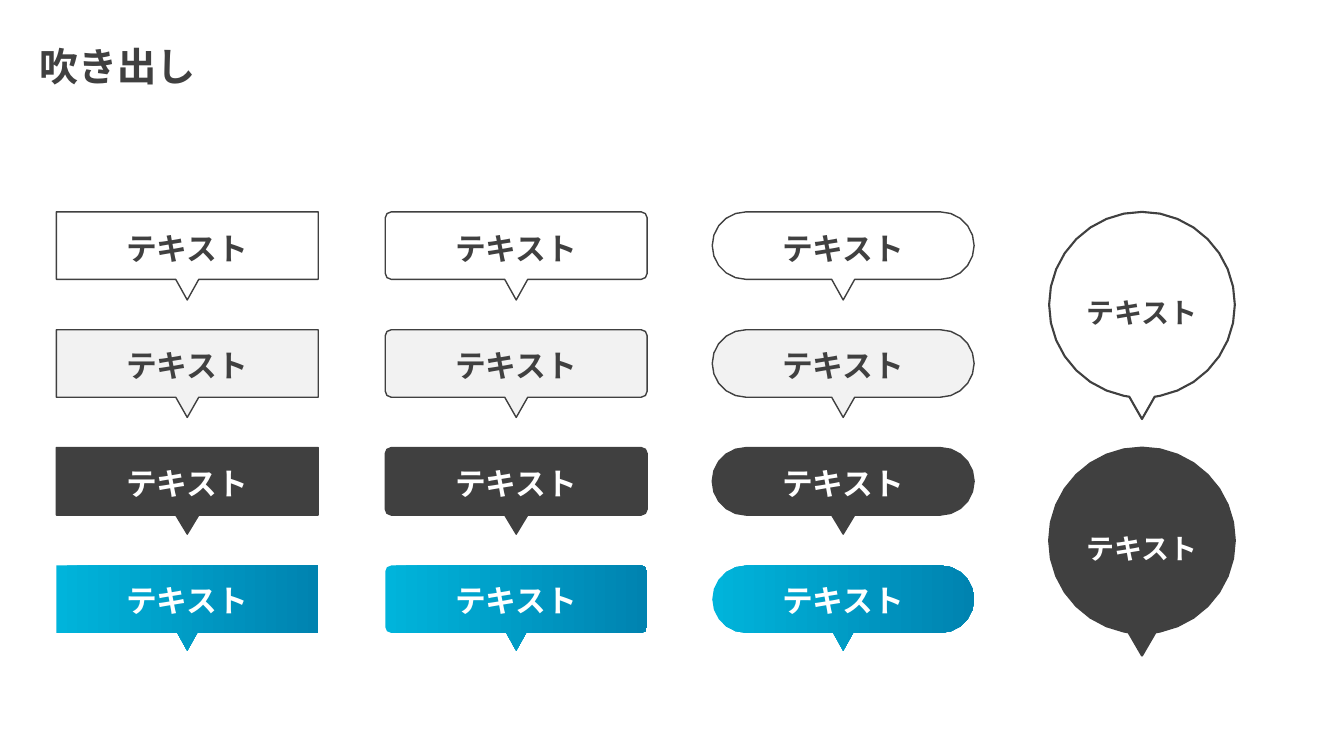
import math
from lxml import etree
from pptx import Presentation
from pptx import util as u
from pptx.dml import color
from pptx.enum import text
from pptx.oxml import ns

FONT = "Noto Sans CJK JP"
TITLE = {"words": "吹き出し", "left": 0.74, "top": 0.94, "width": 4.5, "height": 1.45}
LABEL = "テキスト"
DARK, WHITE = "404040", "FFFFFF"

BAR = {"width": 6.6, "height": 1.7, "size": 22, "spacing": 1.1, "outline": 1,
       "insets": (0.7, 0.4, 0.7, 0.9)}
CIRCLE = {"width": 4.68, "height": 4.68, "size": 20, "spacing": None, "outline": 1.5,
          "insets": (0, 0.13, 0, 0.3)}
BAR_COLUMNS = [(1.42, 0), (9.71, 0.15), (17.95, 0.85)]
BAR_ROWS = [
    {"fill": None, "line": DARK, "ink": DARK, "tip": 0.52, "half": 0.29},
    {"fill": "F2F2F2", "line": DARK, "ink": DARK, "tip": 0.51, "half": 0.29},
    {"fill": DARK, "line": DARK, "ink": WHITE, "tip": 0.48, "half": 0.29},
    {"fill": ("00B4DB", "0083B0"), "line": None, "ink": WHITE, "tip": 0.45, "half": 0.25},
]
CIRCLE_LEFT, CIRCLE_RADIUS = 26.44, 2.34
CIRCLE_ROWS = {
    0: {"fill": WHITE, "line": DARK, "ink": DARK, "tip": 0.54, "half": 0.32},
    2: {"fill": DARK, "line": DARK, "ink": WHITE, "tip": 0.56, "half": 0.34},
}
FIRST_TOP, ROW_PITCH, ARC_DENSITY = 5.34, 2.97, 5


def rgb(code):
    return color.RGBColor.from_string(code)


def apply(target, formats):
    for name, value in formats.items():
        setattr(target, name, value)


def write(shape, words, size, ink, formats, paragraph_formats):
    frame = shape.text_frame
    apply(frame, formats)
    paragraph = frame.paragraphs[0]
    apply(paragraph, paragraph_formats)
    run = paragraph.add_run()
    run.text = words
    apply(run.font, {"size": u.Pt(size), "bold": True, "name": FONT})
    run.font.color.rgb = rgb(ink)
    east_asian = etree.SubElement(run.font._element, ns.qn("a:ea"))
    east_asian.set("typeface", FONT)


def balloon_outline(left, top, width, height, radius, tip, half):
    right, bottom, middle = left + width, top + height, left + width / 2
    corners = [(right - radius, top + radius, -90), (right - radius, bottom - radius, 0),
               (left + radius, bottom - radius, 90), (left + radius, top + radius, 180)]
    steps = math.ceil(ARC_DENSITY * math.sqrt(radius))
    points = []
    for index, (x, y, start) in enumerate(corners):
        if index == 2:
            base = bottom
            if half > width / 2 - radius:
                base -= radius - math.sqrt(radius ** 2 - half ** 2)
            points += [(middle + half, base), (middle, bottom + tip), (middle - half, base)]
        for step in range(steps + 1):
            angle = math.radians(start + 90 * step / max(steps, 1))
            point = (x + radius * math.cos(angle), y + radius * math.sin(angle))
            if point[1] < top + height / 2 or abs(point[0] - middle) > half:
                points.append(point)
    return [(u.Cm(x), u.Cm(y)) for x, y in points]


def add_balloon(slide, left, row, radius, body, look):
    outline = balloon_outline(left, FIRST_TOP + row * ROW_PITCH, body["width"],
                              body["height"], radius, look["tip"], look["half"])
    builder = slide.shapes.build_freeform(*outline[0])
    builder.add_line_segments(outline[1:], close=True)
    balloon = builder.convert_to_shape()
    balloon.shadow.inherit = False
    fill = look["fill"]
    if fill is None:
        balloon.fill.background()
    elif isinstance(fill, tuple):
        balloon.fill.gradient()
        balloon.fill.gradient_angle = 0
        for position, (stop, code) in enumerate(zip(balloon.fill.gradient_stops, fill)):
            stop.position = position
            stop.color.rgb = rgb(code)
    else:
        balloon.fill.solid()
        balloon.fill.fore_color.rgb = rgb(fill)
    if look["line"]:
        balloon.line.color.rgb = rgb(look["line"])
        balloon.line.width = u.Pt(body["outline"])
    else:
        balloon.line.fill.background()
    sides = ("margin_left", "margin_top", "margin_right", "margin_bottom")
    formats = {side: u.Cm(inset) for side, inset in zip(sides, body["insets"])}
    formats |= {"word_wrap": True, "vertical_anchor": text.MSO_ANCHOR.MIDDLE}
    write(balloon, LABEL, body["size"], look["ink"], formats,
          {"alignment": text.PP_ALIGN.CENTER, "line_spacing": body["spacing"]})


def main():
    deck = Presentation()
    apply(deck, {"slide_width": u.Cm(33.87), "slide_height": u.Cm(19.05)})
    slide = deck.slides.add_slide(deck.slide_layouts[6])
    title = slide.shapes.add_textbox(
        *(u.Cm(TITLE[side]) for side in ("left", "top", "width", "height")))
    write(title, TITLE["words"], 28, DARK,
          {"word_wrap": False, "auto_size": text.MSO_AUTO_SIZE.SHAPE_TO_FIT_TEXT}, {})
    for left, radius in BAR_COLUMNS:
        for row, look in enumerate(BAR_ROWS):
            add_balloon(slide, left, row, radius, BAR, look)
    for row, look in CIRCLE_ROWS.items():
        add_balloon(slide, CIRCLE_LEFT, row, CIRCLE_RADIUS, CIRCLE, look)
    deck.save("out.pptx")


if __name__ == "__main__":
    main()
